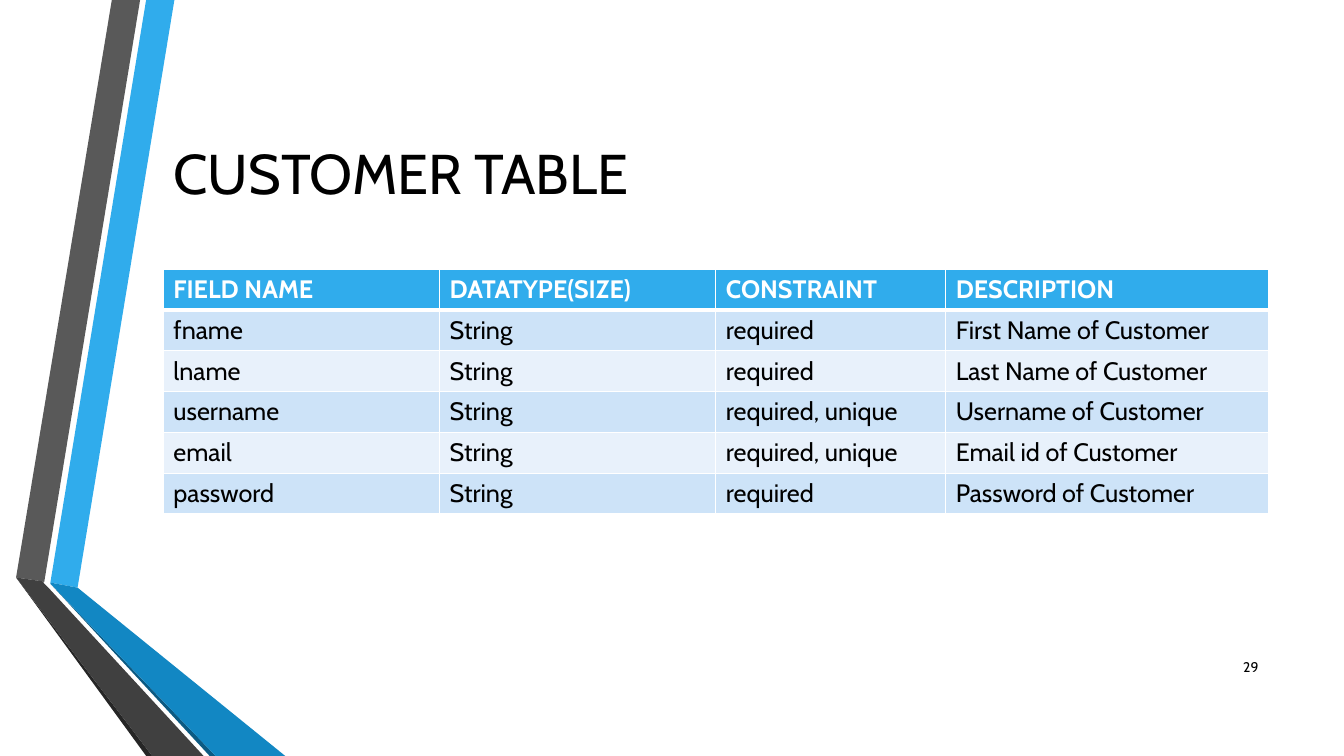
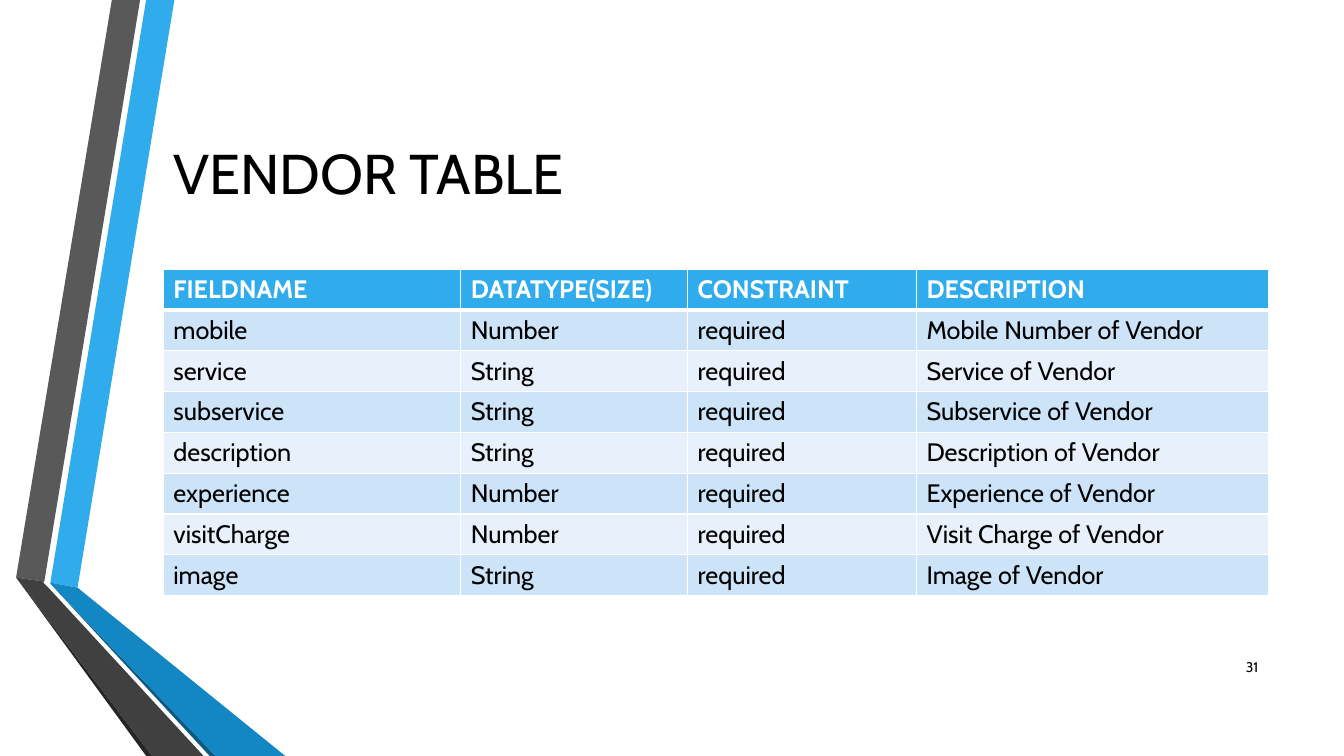
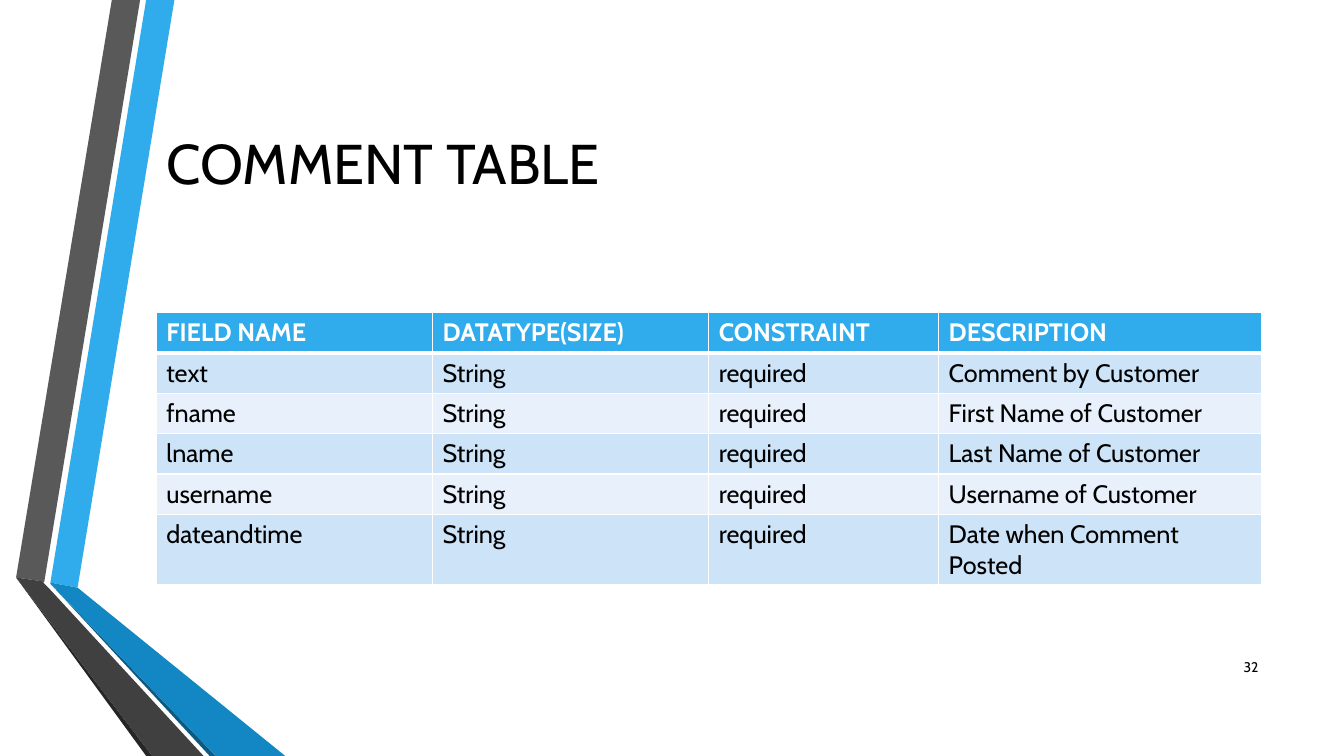
from dataclasses import dataclass

from lxml.etree import SubElement
from pptx import Presentation
from pptx.dml.color import RGBColor as RGB
from pptx.enum.text import MSO_ANCHOR as Anchor, PP_ALIGN as Align
from pptx.oxml.ns import qn
from pptx.util import Inches, Pt


@dataclass(frozen=True)
class Theme:
    font: str = "Cabin"
    text: str = "000000"
    white: str = "FFFFFF"
    accent: str = "30ACEC"
    accent_dark: str = "1287C3"
    accent_edge: str = "0C5A82"
    gray: str = "595959"
    gray_dark: str = "404040"
    gray_edge: str = "262626"
    row_odd: str = "CDE3F8"
    row_even: str = "E8F1FB"
    title_size: int = 40
    table_size: int = 18
    number_size: int = 10
    rule: int = 1
    header_rule: int = 3


THEME = Theme()

RIBBONS = [
    (THEME.accent, [(0.5, 5.78), (0.77, 5.83), (1.73, 0), (1.45, 0)]),
    (THEME.gray, [(1.39, 0), (1.11, 0), (0.16, 5.73), (0.44, 5.77)]),
    (THEME.gray_edge, [(0.16, 5.73), (1.45, 7.5), (1.51, 7.5)]),
    (THEME.accent_edge, [(0.5, 5.79), (2.08, 7.5), (2.14, 7.5)]),
    (THEME.accent_dark, [(0.5, 5.78), (0.5, 5.79), (2.14, 7.5), (2.83, 7.5),
                         (0.77, 5.83)]),
    (THEME.gray_dark, [(2.02, 7.5), (0.48, 5.83), (0.43, 5.78), (0.44, 5.77),
                       (0.16, 5.73), (1.51, 7.5)]),
]


class Deck:
    def __init__(self, theme):
        self.theme = theme
        self.prs = Presentation()
        self.prs.slide_width, self.prs.slide_height = Inches(13.33), Inches(7.5)
        self.s = None

    def new_slide(self, number):
        self.s = self.prs.slides.add_slide(self.prs.slide_layouts[5])
        for color, points in RIBBONS:
            self.ribbon(color, points)
        self.page_number(number)

    def style(self, p, size, color, bold=False):
        for r in p.runs:
            r.font.name = self.theme.font
            r.font.size = Pt(size)
            r.font.bold = bold
            r.font.color.rgb = RGB.from_string(color)

    def ribbon(self, color, points):
        start, *rest = [(Inches(x), Inches(y)) for x, y in points]
        builder = self.s.shapes.build_freeform(*start)
        builder.add_line_segments(rest, close=True)
        sp = builder.convert_to_shape()
        sp.shadow.inherit = False
        sp.fill.solid()
        sp.fill.fore_color.rgb = RGB.from_string(color)
        sp.line.fill.background()

    def page_number(self, number):
        box = self.s.shapes.add_textbox(
            Inches(11.98), Inches(6.42), Inches(0.6), Inches(0.4))
        tf = box.text_frame
        tf.word_wrap = True
        tf.vertical_anchor = Anchor.MIDDLE
        tf.text = str(number)
        p = tf.paragraphs[0]
        p.alignment = Align.RIGHT
        self.style(p, self.theme.number_size, self.theme.text)

    def title(self, text, left, top, height):
        sp = self.s.shapes.title
        sp.left, sp.top = Inches(left), Inches(top)
        sp.width, sp.height = Inches(10.96), Inches(height)
        tf = sp.text_frame
        tf.vertical_anchor = Anchor.MIDDLE
        tf.text = text
        p = tf.paragraphs[0]
        p.alignment = Align.LEFT
        self.style(p, self.theme.title_size, self.theme.text)

    def table(self, rows, widths, left, top, height):
        t = self.theme
        table = self.s.shapes.add_table(
            len(rows), len(widths), Inches(left), Inches(top),
            Inches(sum(widths)), Inches(height)).table
        for column, width in zip(table.columns, widths):
            column.width = Inches(width)
        for i, row in enumerate(rows):
            header = i == 0
            fill = t.accent if header else (t.row_odd if i % 2 else t.row_even)
            for j, text in enumerate(row):
                cell = table.cell(i, j)
                cell.text = text
                self.style(cell.text_frame.paragraphs[0], t.table_size,
                           t.white if header else t.text, header)
                self.borders(cell, top=t.header_rule if i == 1 else t.rule,
                             bottom=t.header_rule if header else t.rule)
                cell.fill.solid()
                cell.fill.fore_color.rgb = RGB.from_string(fill)

    def borders(self, cell, top, bottom):
        """Rule all four sides in white; top and bottom are in points."""
        tc_pr = cell._tc.get_or_add_tcPr()
        sides = {"L": self.theme.rule, "R": self.theme.rule,
                 "T": top, "B": bottom}
        for side, width in sides.items():
            ln = SubElement(tc_pr, qn(f"a:ln{side}"), w=str(Pt(width)))
            solid = SubElement(ln, qn("a:solidFill"))
            SubElement(solid, qn("a:srgbClr"), val=self.theme.white)


HEADINGS = ("DATATYPE(SIZE)", "CONSTRAINT", "DESCRIPTION")
WIDTHS = (2.74, 2.74, 2.28, 3.2)

CUSTOMER = [
    ("FIELD NAME", *HEADINGS),
    ("fname", "String", "required", "First Name of Customer"),
    ("lname", "String", "required", "Last Name of Customer"),
    ("username", "String", "required, unique", "Username of Customer"),
    ("email", "String", "required, unique", "Email id of Customer"),
    ("password", "String", "required", "Password of Customer"),
]
VENDOR = [
    ("FIELDNAME", *HEADINGS),
    ("mobile", "Number", "required", "Mobile Number of Vendor"),
    ("service", "String", "required", "Service of Vendor"),
    ("subservice", "String", "required", "Subservice of Vendor"),
    ("description", "String", "required", "Description of Vendor"),
    ("experience", "Number", "required", "Experience of Vendor"),
    ("visitCharge", "Number", "required", "Visit Charge of Vendor"),
    ("image", "String", "required", "Image of Vendor"),
]
COMMENT = [
    ("FIELD NAME", *HEADINGS),
    ("text", "String", "required", "Comment by Customer"),
    ("fname", "String", "required", "First Name of Customer"),
    ("lname", "String", "required", "Last Name of Customer"),
    ("username", "String", "required", "Username of Customer"),
    ("dateandtime", "String", "required", "Date when Comment Posted"),
]


def main():
    deck = Deck(THEME)

    deck.new_slide(29)
    deck.title("CUSTOMER TABLE", left=1.62, top=0.75, height=1.92)
    deck.table(CUSTOMER, WIDTHS, left=1.62, top=2.67, height=2.43)

    deck.new_slide(31)
    deck.title("VENDOR TABLE", left=1.62, top=0.75, height=1.92)
    deck.table(VENDOR, (2.95, 2.25, 2.27, 3.49), left=1.62, top=2.67, height=3.24)

    deck.new_slide(32)
    deck.title("COMMENT TABLE", left=1.55, top=0.85, height=1.52)
    deck.table(COMMENT, WIDTHS, left=1.55, top=3.1, height=2.4)

    deck.prs.save("out.pptx")


if __name__ == "__main__":
    main()
